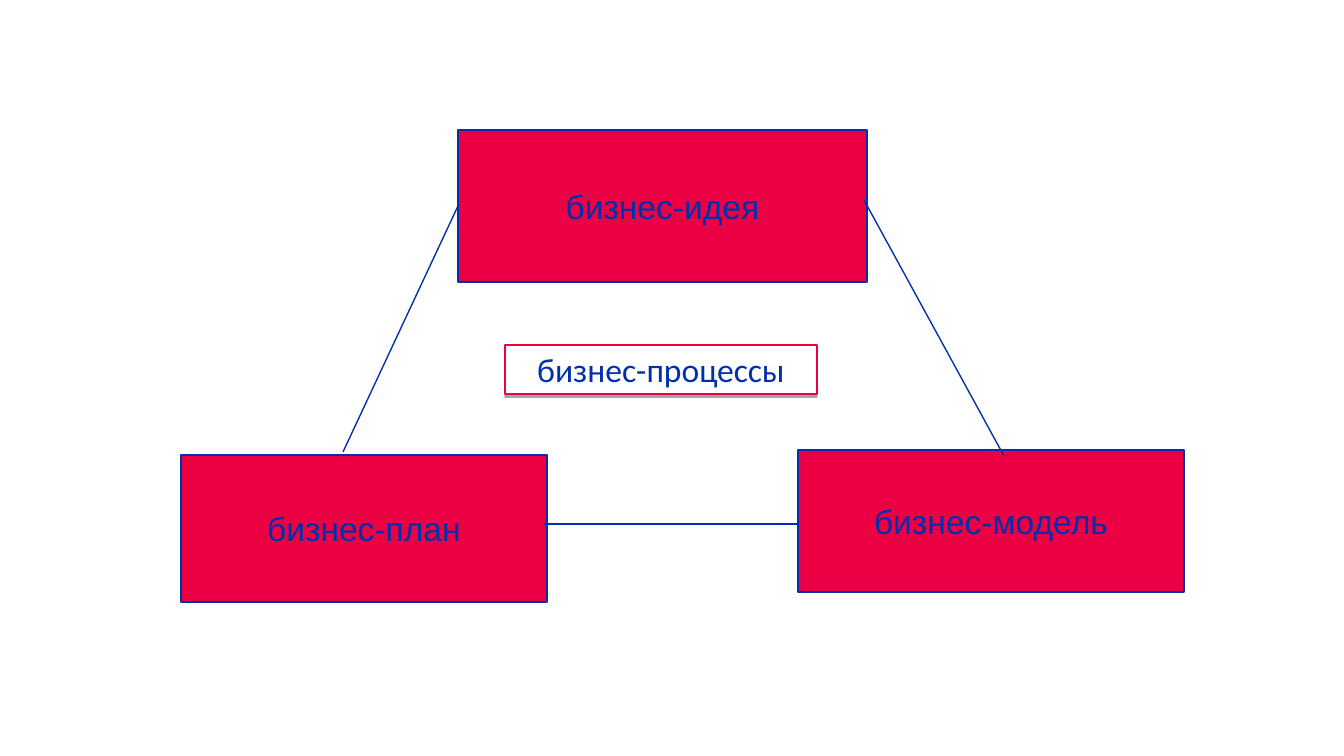
from lxml.etree import SubElement
from pptx import Presentation
from pptx.dml.color import RGBColor
from pptx.enum.shapes import MSO_CONNECTOR as CONN, MSO_SHAPE as SHAPE
from pptx.enum.text import MSO_ANCHOR as ANCHOR, PP_ALIGN as ALIGN
from pptx.oxml.ns import qn
from pptx.util import Pt

SCALE = 914400 / 134.4
BLUE = RGBColor(0x02, 0x30, 0xAC)
RED = RGBColor(0xEC, 0x00, 0x44)
FRAME_RED = RGBColor(0xEC, 0x00, 0x40)
WHITE = RGBColor(0xFF, 0xFF, 0xFF)


def px(*values):
    return [round(v * SCALE) for v in values]


def set_attrs(obj, values):
    for name, value in values.items():
        setattr(obj, name, value)


def add_box(s, text, bounds, fill=RED, line=BLUE, font="Arial", wrap=False):
    sp = s.shapes.add_shape(SHAPE.RECTANGLE, *px(*bounds))
    sp.shadow.inherit = False
    sp.fill.solid()
    sp.fill.fore_color.rgb = fill
    sp.line.color.rgb = line
    sp.line.width = Pt(0.75)
    tf = sp.text_frame
    set_attrs(tf, {"word_wrap": wrap, "vertical_anchor": ANCHOR.MIDDLE})
    p = tf.paragraphs[0]
    p.alignment = ALIGN.CENTER
    r = p.add_run()
    r.text = text
    set_attrs(r.font, {"name": font, "size": Pt(18)})
    r.font.color.rgb = BLUE
    return sp


def add_shadow(sp):
    effects = sp._element.spPr.find(qn("a:effectLst"))
    shadow = SubElement(effects, qn("a:outerShdw"), dist=str(Pt(1.8)),
                        dir="5400000", rotWithShape="0")
    color = SubElement(shadow, qn("a:srgbClr"), val="000000")
    SubElement(color, qn("a:alpha"), val="35000")


def add_line(s, *ends):
    line = s.shapes.add_connector(CONN.STRAIGHT, *px(*ends))
    line.line.color.rgb = BLUE
    line.line.width = Pt(0.75)
    SubElement(line._element.spPr, qn("a:effectLst"))
    return line


def main():
    prs = Presentation()
    prs.slide_width, prs.slide_height = px(1344, 756)
    s = prs.slides.add_slide(prs.slide_layouts[6])

    idea = add_box(s, "бизнес-идея", (458, 130, 409, 152))
    add_box(s, "бизнес-план", (181, 455, 366, 147))
    add_box(s, "бизнес-модель", (798, 450, 386, 142))

    idea_to_plan = add_line(s, 458, 208, 343, 452)
    idea_to_plan.begin_connect(idea, 1)
    add_line(s, 544, 524, 798, 524)
    add_line(s, 864, 200, 1004, 456)

    processes = add_box(s, "бизнес-процессы", (505, 345, 312, 49),
                        WHITE, FRAME_RED, "Calibri", True)
    add_shadow(processes)

    prs.save("out.pptx")


if __name__ == "__main__":
    main()
